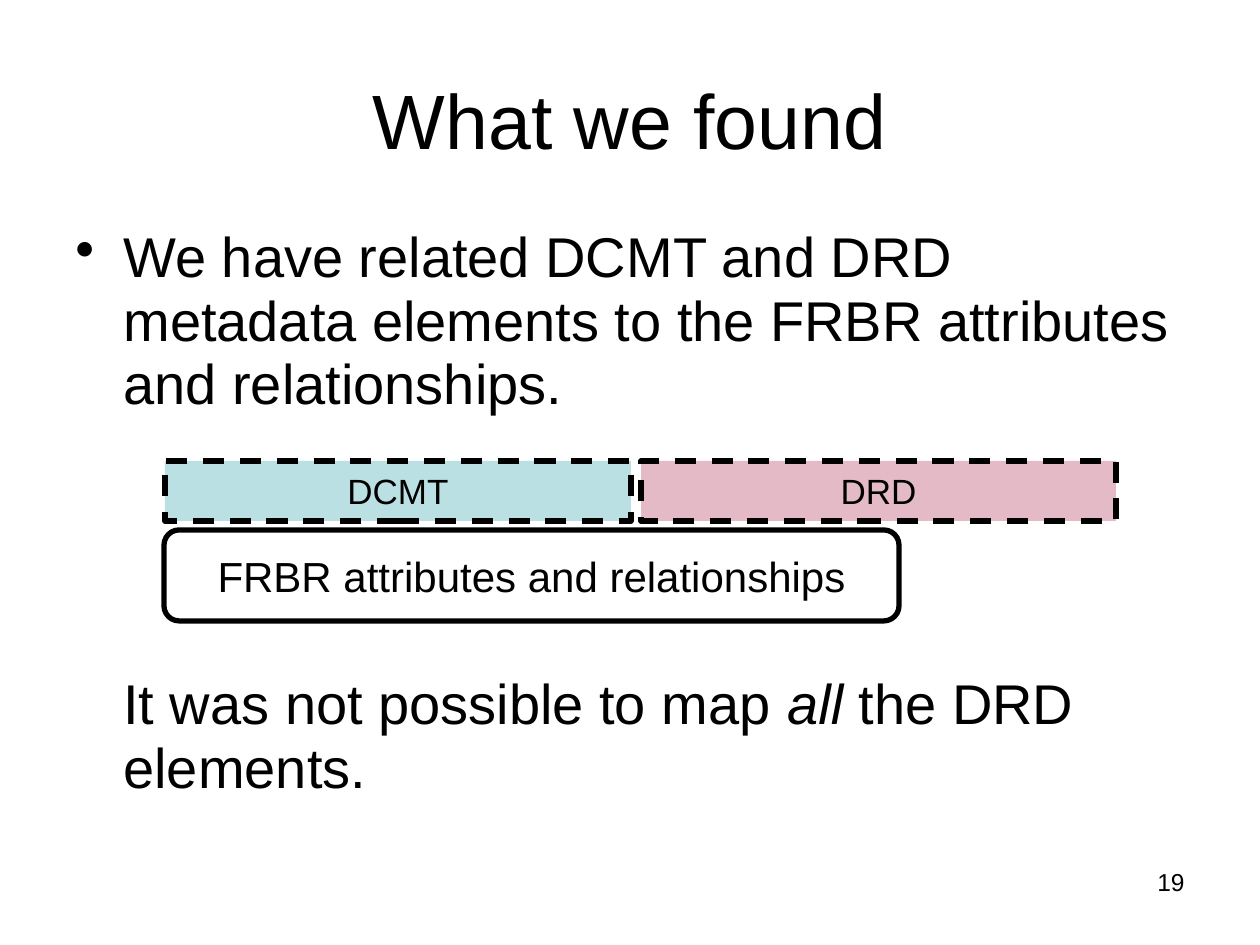
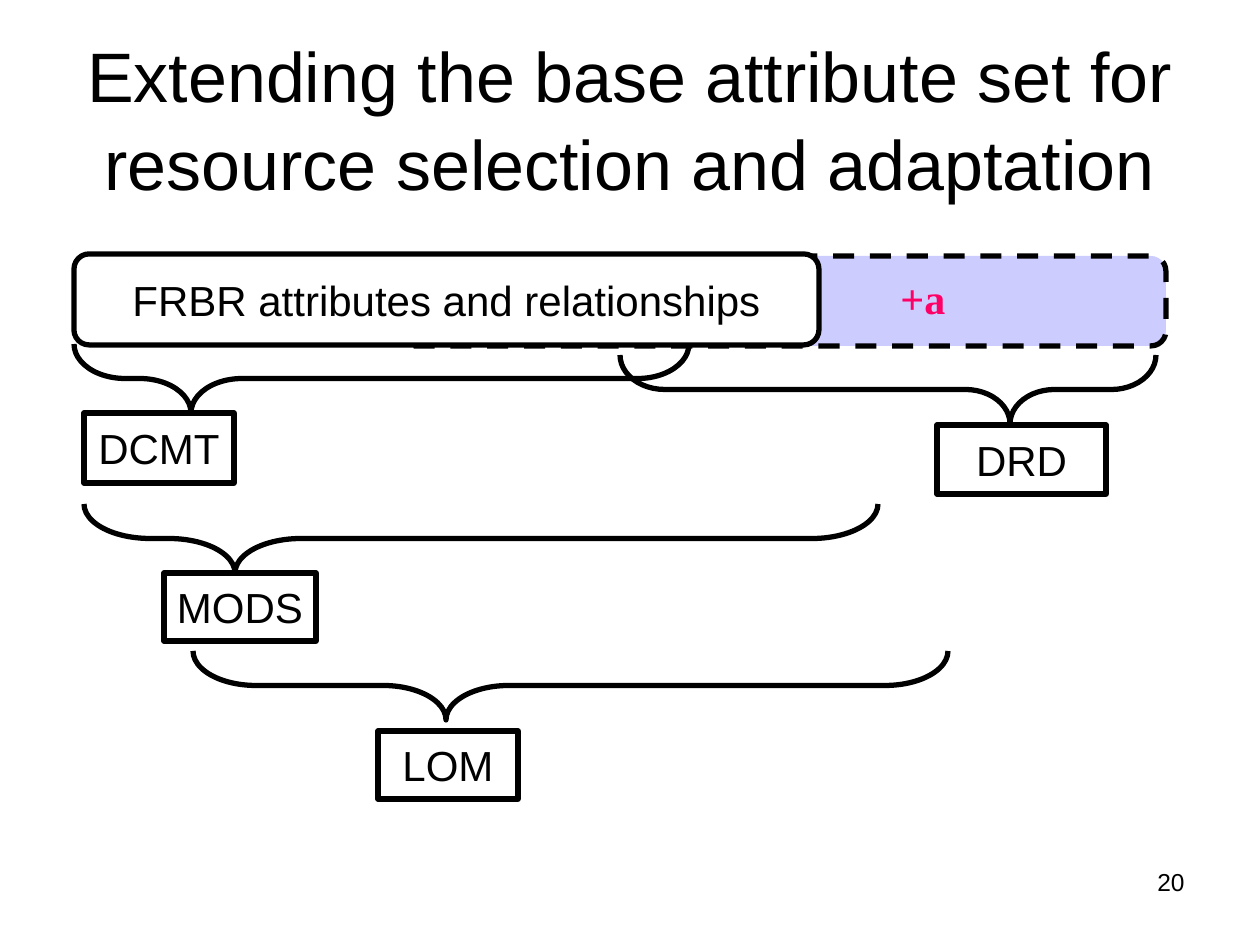
from lxml import etree
from pptx import Presentation
from pptx.dml.color import RGBColor
from pptx.enum.dml import MSO_LINE
from pptx.enum.shapes import MSO_SHAPE
from pptx.enum.text import MSO_ANCHOR, MSO_AUTO_SIZE, PP_ALIGN
from pptx.oxml.ns import qn
from pptx.util import Emu, Pt

# Shared style
PX = 914400 / 126
HUE = {"ink": "000000", "paper": "FFFFFF", "aqua": "BBE0E3",
       "rose": "E4BAC6", "lilac": "CCCCFF", "pink": "FF0066"}
SANS, SERIF = "Arial", "Times New Roman"
RECT, ROUND = MSO_SHAPE.RECTANGLE, MSO_SHAPE.ROUNDED_RECTANGLE
BASE = "FRBR attributes and relationships"
DEPTH = 69  # height of every brace

# Content: places are left, top, width, height in px
FOUND = {
    "title": ("What we found", 44, (63, 38, 1134, 158)),
    "page": "19",
    "body": [  # bullet, space before in pt, runs of (text, italic)
        ("•", 0, [("We have related DCMT and DRD metadata elements to the "
                   "FRBR attributes and relationships.", False)]),
        (None, 146, [("It was not possible to map ", False), ("all", True),
                     (" the DRD elements.", False)]),
    ],
    "boxes": [  # text, size, form, fill, dashed, place
        (BASE, 24, ROUND, "paper", False, (164, 530, 735, 91)),
        ("DCMT", 20, RECT, "aqua", True, (165, 461, 466, 60)),
        ("DRD", 20, RECT, "rose", True, (641, 461, 475, 60)),
    ],
}
EXTEND = {
    "title": ("Extending the base attribute set for resource selection "
              "and adaptation", 40, (44, 38, 1171, 158)),
    "page": "20",
    "boxes": [
        ("", 24, ROUND, "lilac", True, (400, 256, 766, 90)),
        (BASE, 24, ROUND, "paper", False, (74, 254, 745, 91)),
        ("DCMT", 24, RECT, "paper", False, (84, 413, 150, 70)),
        ("DRD", 24, RECT, "paper", False, (937, 425, 169, 69)),
        ("MODS", 24, RECT, "paper", False, (164, 573, 152, 68)),
        ("LOM", 24, RECT, "paper", False, (378, 731, 140, 68)),
    ],
    "braces": [  # left, right, tip, top
        (74, 689, 191, 344),
        (84, 878, 235, 504),
        (193, 948, 446, 651),
        (620, 1156, 1010, 355),
    ],
    "note": ("+a", (888, 266, 147, 63)),
}


def emu(*vals):
    return [Emu(round(v * PX)) for v in vals]


def tint(name):
    return RGBColor.from_string(HUE[name])


def add_run(para, text, size, font=SANS, hue="ink", bold=False, slant=False):
    run = para.add_run()
    run.text = text
    face = run.font
    face.name, face.size = font, Pt(size)
    face.bold, face.italic = bold, slant
    face.color.rgb = tint(hue)


def outline(shape, dashed=False):
    shape.shadow.inherit = False
    shape.line.color.rgb = tint("ink")
    shape.line.width = Pt(3)
    if dashed:
        shape.line.dash_style = MSO_LINE.DASH


def add_text(slide, place):
    frame = slide.shapes.add_textbox(*emu(*place)).text_frame
    frame.word_wrap = True
    return frame


def add_box(slide, text, size, form, fill, dashed, place):
    box = slide.shapes.add_shape(form, *emu(*place))
    outline(box, dashed)
    box.fill.solid()
    box.fill.fore_color.rgb = tint(fill)
    if text:
        frame = box.text_frame
        frame.word_wrap = False
        frame.vertical_anchor = MSO_ANCHOR.MIDDLE
        frame.paragraphs[0].alignment = PP_ALIGN.CENTER
        add_run(frame.paragraphs[0], text, size)


def add_brace(slide, left, right, tip, top):
    # A right brace turned a quarter so that its tip points down
    span = right - left
    x, y = (left + right - DEPTH) / 2, top + (DEPTH - span) / 2
    brace = slide.shapes.add_shape(MSO_SHAPE.RIGHT_BRACE,
                                   *emu(x, y, DEPTH, span))
    brace.rotation = 90
    brace.adjustments[0] = span / 12 / DEPTH
    brace.adjustments[1] = (right - tip) / span
    brace.fill.background()
    outline(brace)


def add_body(slide, paras):
    frame = add_text(slide, (63, 220, 1134, 624))
    for i, (mark, gap, runs) in enumerate(paras):
        para = frame.paragraphs[0] if i == 0 else frame.add_paragraph()
        props = para._p.get_or_add_pPr()
        indent = emu(48)[0]
        props.set("marL", str(indent))
        props.set("indent", str(-indent if mark else 0))
        if mark:
            etree.SubElement(props, qn("a:buChar"), char=mark)
        para.line_spacing = 0.95
        if gap:
            para.space_before = Pt(gap)
        for text, slant in runs:
            add_run(para, text, 32, slant=slant)


def add_slide(deck, data):
    slide = deck.slides.add_slide(deck.slide_layouts[5])

    # Title
    text, size, place = data["title"]
    title = slide.shapes.title
    title.left, title.top, title.width, title.height = emu(*place)
    frame = title.text_frame
    frame.word_wrap = True
    frame.auto_size = MSO_AUTO_SIZE.NONE
    frame.vertical_anchor = MSO_ANCHOR.MIDDLE
    para = frame.paragraphs[0]
    para.alignment = PP_ALIGN.CENTER
    para.line_spacing = 1.04
    add_run(para, text, size)

    # Body, boxes and braces
    if "body" in data:
        add_body(slide, data["body"])
    for box in data["boxes"]:
        add_box(slide, *box)
    for brace in data.get("braces", []):
        add_brace(slide, *brace)
    if "note" in data:
        text, place = data["note"]
        para = add_text(slide, place).paragraphs[0]
        add_run(para, text, 24, SERIF, "pink", bold=True)

    # Page number
    para = add_text(slide, (903, 861, 294, 66)).paragraphs[0]
    para.alignment = PP_ALIGN.RIGHT
    add_run(para, data["page"], 14)


def main():
    deck = Presentation()
    deck.slide_width, deck.slide_height = emu(1260, 945)
    for data in (FOUND, EXTEND):
        add_slide(deck, data)
    deck.save("out.pptx")


if __name__ == "__main__":
    main()
